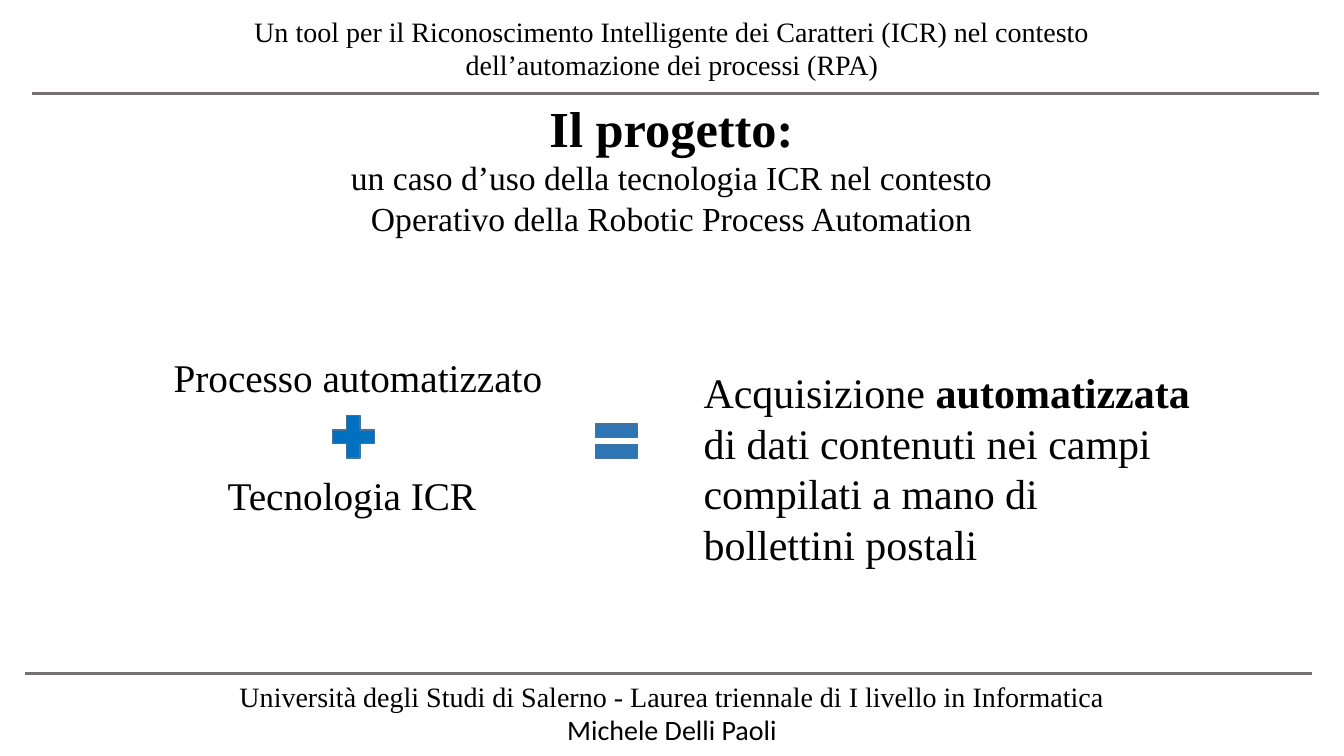
"""Build the project slide: automated process plus ICR technology equals automated data capture."""
from lxml import etree
from pptx import Presentation
from pptx.dml.color import RGBColor
from pptx.enum.shapes import MSO_CONNECTOR, MSO_SHAPE
from pptx.enum.text import MSO_ANCHOR, PP_ALIGN
from pptx.oxml.ns import qn
from pptx.util import Inches, Pt

WIDTH, HEIGHT = 13.33, 7.5
SERIF, SANS = "Times New Roman", "Calibri"
BLACK, RULE_GRAY, OUTLINE = "000000", "767171", "43739E"
CENTER, LEFT = PP_ALIGN.CENTER, PP_ALIGN.LEFT

TITLE = ((3.27, 0.91, 6.78, 1.51), CENTER, [
    ([("Il progetto:", True)], 36, SERIF),
    ([("un caso d’uso della tecnologia ICR nel contesto", False)], 24, SERIF),
    ([("Operativo della Robotic Process Automation", False)], 24, SERIF),
])
TEXTS = [
    ((2.4, 0.09, 8.53, 0.77), CENTER, [
        ([("Un tool per il Riconoscimento Intelligente dei Caratteri (ICR) nel contesto", False)], 20, SERIF),
        ([("dell’automazione dei processi (RPA)", False)], 20, SERIF),
    ]),
    ((2.25, 6.69, 8.83, 0.77), CENTER, [
        ([("Università degli Studi di Salerno - Laurea triennale di I livello in Informatica", False)], 20, SERIF),
        ([("Michele Delli Paoli", False)], 20, SANS),
    ]),
    ((1.56, 3.46, 3.98, 0.57), CENTER, [([("Processo automatizzato", False)], 28, SERIF)]),
    ((2.16, 4.63, 2.69, 0.57), LEFT, [([("Tecnologia ICR", False)], 28, SERIF)]),
    ((6.88, 3.59, 5.06, 2.12), LEFT, [([
        ("Acquisizione ", False),
        ("automatizzata", True),
        (" di dati contenuti nei campi compilati a mano di bollettini postali", False),
    ], 30, SERIF)]),
]
RULE_LENGTH = 12.76
RULES = [(0.32, 0.93), (0.25, 6.68)]
SIGN_SIZE = 0.57
SIGNS = [
    (MSO_SHAPE.MATH_PLUS, 3.22, 4.05, "0070C0"),
    (MSO_SHAPE.MATH_EQUAL, 5.83, 4.09, "2E75B6"),
]


def color(hex_value):
    return RGBColor.from_string(hex_value)


def write(frame, align, lines):
    frame.word_wrap = True
    frame.vertical_anchor = MSO_ANCHOR.TOP
    for index, (runs, size, font) in enumerate(lines):
        line = frame.add_paragraph() if index else frame.paragraphs[0]
        line.alignment = align
        line.font.size, line.font.name = Pt(size), font
        line.font.color.rgb = color(BLACK)
        for words, bold in runs:
            run = line.add_run()
            run.text, run.font.bold = words, bold


def add_rule(slide, left, top):
    rule = slide.shapes.add_connector(
        MSO_CONNECTOR.STRAIGHT, Inches(left), Inches(top), Inches(left + RULE_LENGTH), Inches(top))
    rule.line.color.rgb, rule.line.width = color(RULE_GRAY), Pt(2)
    etree.SubElement(rule._element.spPr, qn("a:effectLst"))


def add_sign(slide, preset, left, top, fill):
    sign = slide.shapes.add_shape(
        preset, Inches(left), Inches(top), Inches(SIGN_SIZE), Inches(SIGN_SIZE))
    sign.shadow.inherit = False
    sign.fill.solid()
    sign.fill.fore_color.rgb = color(fill)
    sign.line.color.rgb, sign.line.width = color(OUTLINE), Pt(1)


def main():
    deck = Presentation()
    deck.slide_width, deck.slide_height = Inches(WIDTH), Inches(HEIGHT)
    slide = deck.slides.add_slide(deck.slide_layouts[5])

    box, align, lines = TITLE
    title = slide.shapes.title
    title.left, title.top, title.width, title.height = map(Inches, box)
    write(title.text_frame, align, lines)

    for rule in RULES:
        add_rule(slide, *rule)
    for box, align, lines in TEXTS:
        write(slide.shapes.add_textbox(*map(Inches, box)).text_frame, align, lines)
    for sign in SIGNS:
        add_sign(slide, *sign)

    deck.save("out.pptx")


if __name__ == "__main__":
    main()
